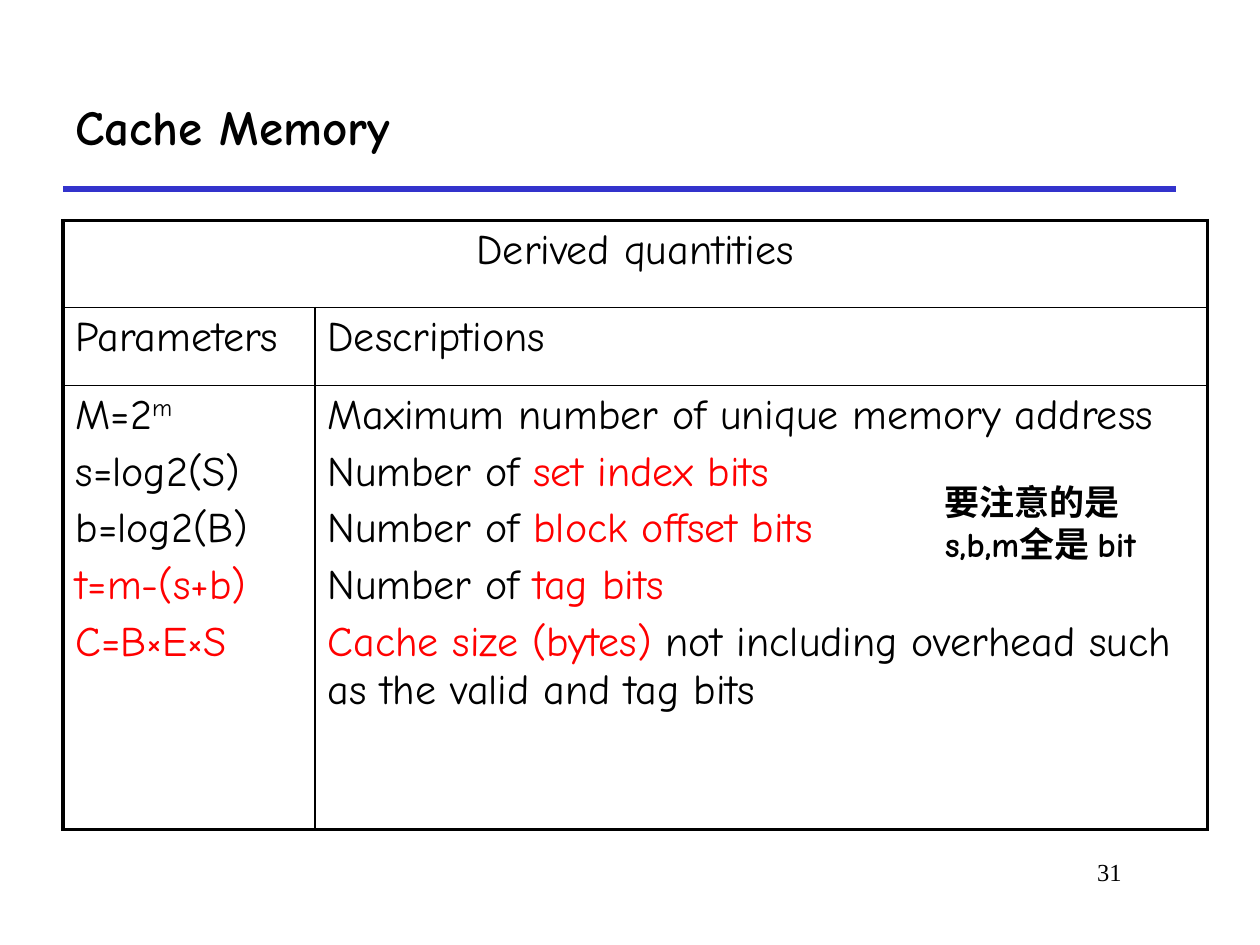
from lxml import etree
from pptx import Presentation
from pptx.dml.color import RGBColor
from pptx.enum.shapes import MSO_CONNECTOR
from pptx.enum.text import MSO_ANCHOR, MSO_AUTO_SIZE, PP_ALIGN
from pptx.oxml.ns import qn
from pptx.util import Emu, Pt

EMU_PER_PX = 7620
BLACK = RGBColor(0x00, 0x00, 0x00)
RED = RGBColor(0xFF, 0x00, 0x00)
BLUE = RGBColor(0x33, 0x33, 0xCC)
LEFT, CENTER, RIGHT = PP_ALIGN.LEFT, PP_ALIGN.CENTER, PP_ALIGN.RIGHT
TOP, MIDDLE = MSO_ANCHOR.TOP, MSO_ANCHOR.MIDDLE
FIT_SHAPE = MSO_AUTO_SIZE.SHAPE_TO_FIT_TEXT
STRAIGHT = MSO_CONNECTOR.STRAIGHT
BODY_FONT = "Comic Neue"
NUMBER_FONT = "Times New Roman"
THIN, THICK = Pt(1), Pt(2.25)
SUPERSCRIPT = "30000"

PARAMETERS = [
    [("M=2", BLACK), ("m", BLACK, SUPERSCRIPT)],
    [("s=log2(S)", BLACK)],
    [("b=log2(B)", BLACK)],
    [("t=m-(s+b)", RED)],
    [("C=B×E×S", RED)],
]
DESCRIPTIONS = [
    [("Maximum number of unique memory address", BLACK)],
    *[[("Number of ", BLACK), (quantity, RED)]
      for quantity in ("set index bits", "block offset bits", "tag bits")],
    [("Cache size (bytes)", RED),
     (" not including overhead such as the valid and tag bits", BLACK)],
]
ROWS = [
    [[[("Derived quantities", BLACK)]], None],
    [[[("Parameters", BLACK)]], [[("Descriptions", BLACK)]]],
    [PARAMETERS, DESCRIPTIONS],
]


def px(length):
    return Emu(length * EMU_PER_PX)


class SlideBuilder:
    def __init__(self, slide):
        self.slide = slide

    def style(self, font, size, color=BLACK, bold=False, face=BODY_FONT):
        font.name = face
        font.size = Pt(size)
        font.bold = bold
        font.color.rgb = color

    def rule(self, x1, x2, y, color, weight):
        rule = self.slide.shapes.add_connector(STRAIGHT, px(x1), px(y), px(x2), px(y))
        rule.line.color.rgb = color
        rule.line.width = Pt(weight)
        etree.SubElement(rule._element.spPr, qn("a:effectLst"))

    def text(self, box, content, size, bold=False, face=BODY_FONT,
             align=LEFT, anchor=TOP, wrap=True):
        frame = self.slide.shapes.add_textbox(*map(px, box)).text_frame
        frame.word_wrap = wrap
        frame.vertical_anchor = anchor
        if not wrap:
            frame.auto_size = FIT_SHAPE
        frame.text = content
        for paragraph in frame.paragraphs:
            paragraph.alignment = align
            for run in paragraph.runs:
                self.style(run.font, size, bold=bold, face=face)

    def borders(self, cell, widths):
        properties = cell._tc.get_or_add_tcPr()
        for side, width in zip(("lnL", "lnR", "lnT", "lnB"), widths):
            line = etree.SubElement(properties, qn(f"a:{side}"), w=str(width))
            fill = etree.SubElement(line, qn("a:solidFill"))
            etree.SubElement(fill, qn("a:srgbClr"), val=str(BLACK))

    def fill_cell(self, cell, paragraphs, size, align):
        frame = cell.text_frame
        for index, runs in enumerate(paragraphs):
            paragraph = frame.add_paragraph() if index else frame.paragraphs[0]
            paragraph.alignment = align
            if index:
                paragraph.space_before = Pt(size * 0.2)
            for content, color, *baseline in runs:
                run = paragraph.add_run()
                run.text = content
                self.style(run.font, size, color)
                if baseline:
                    run._r.get_or_add_rPr().set("baseline", baseline[0])

    def table(self, left, top, widths, heights, rows, size):
        table = self.slide.shapes.add_table(
            len(heights), len(widths), px(left), px(top),
            px(sum(widths)), px(sum(heights))).table
        table.first_row = table.horz_banding = False
        for column, width in zip(table.columns, widths):
            column.width = px(width)
        for row, height in zip(table.rows, heights):
            row.height = px(height)
        table.cell(0, 0).merge(table.cell(0, len(widths) - 1))
        last_row, last_column = len(heights) - 1, len(widths) - 1
        for r, row in enumerate(rows):
            for c, paragraphs in enumerate(row):
                cell = table.cell(r, c)
                outer = (c == 0, c == last_column or cell.is_merge_origin,
                         r == 0, r == last_row)
                self.borders(cell, [THICK if edge else THIN for edge in outer])
                cell.fill.background()
                if paragraphs:
                    self.fill_cell(cell, paragraphs, size, LEFT if r else CENTER)


def main():
    presentation = Presentation()
    presentation.slide_width = px(1200)
    presentation.slide_height = px(900)
    slide = presentation.slides.add_slide(presentation.slide_layouts[6])
    builder = SlideBuilder(slide)
    builder.rule(60, 1120, 180, BLUE, 3)
    builder.text((910, 810, 170, 60), "31", 14, face=NUMBER_FONT, align=RIGHT)
    builder.text((60, 60, 1060, 120), "Cache Memory", 28, bold=True, anchor=MIDDLE)
    builder.table(60, 210, (240, 850), (83, 74, 423), ROWS, 24)
    builder.text((888, 452, 241, 92), "要注意的是\ns,b,m全是 bit", 20,
                 bold=True, wrap=False)
    presentation.save("out.pptx")


if __name__ == "__main__":
    main()
